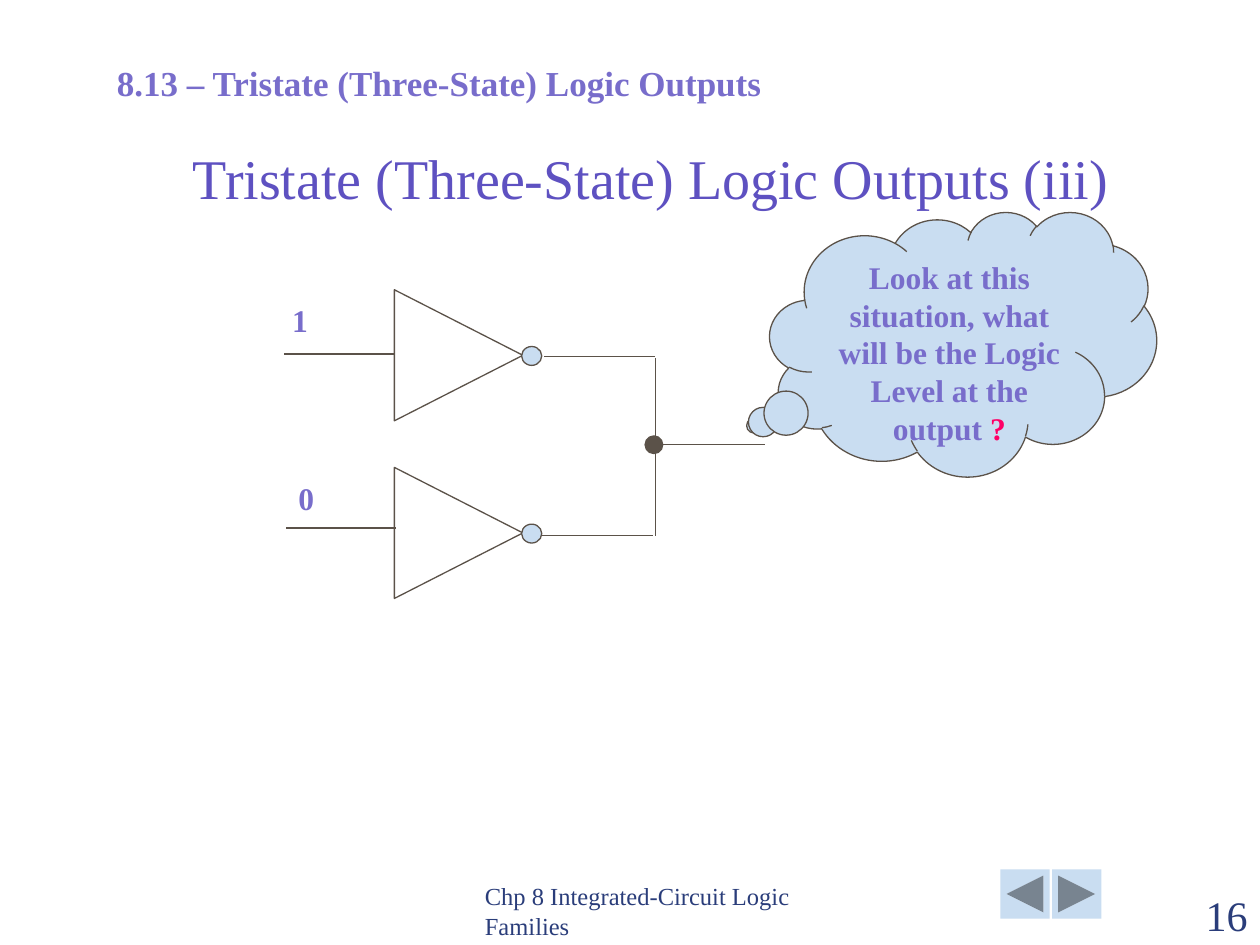
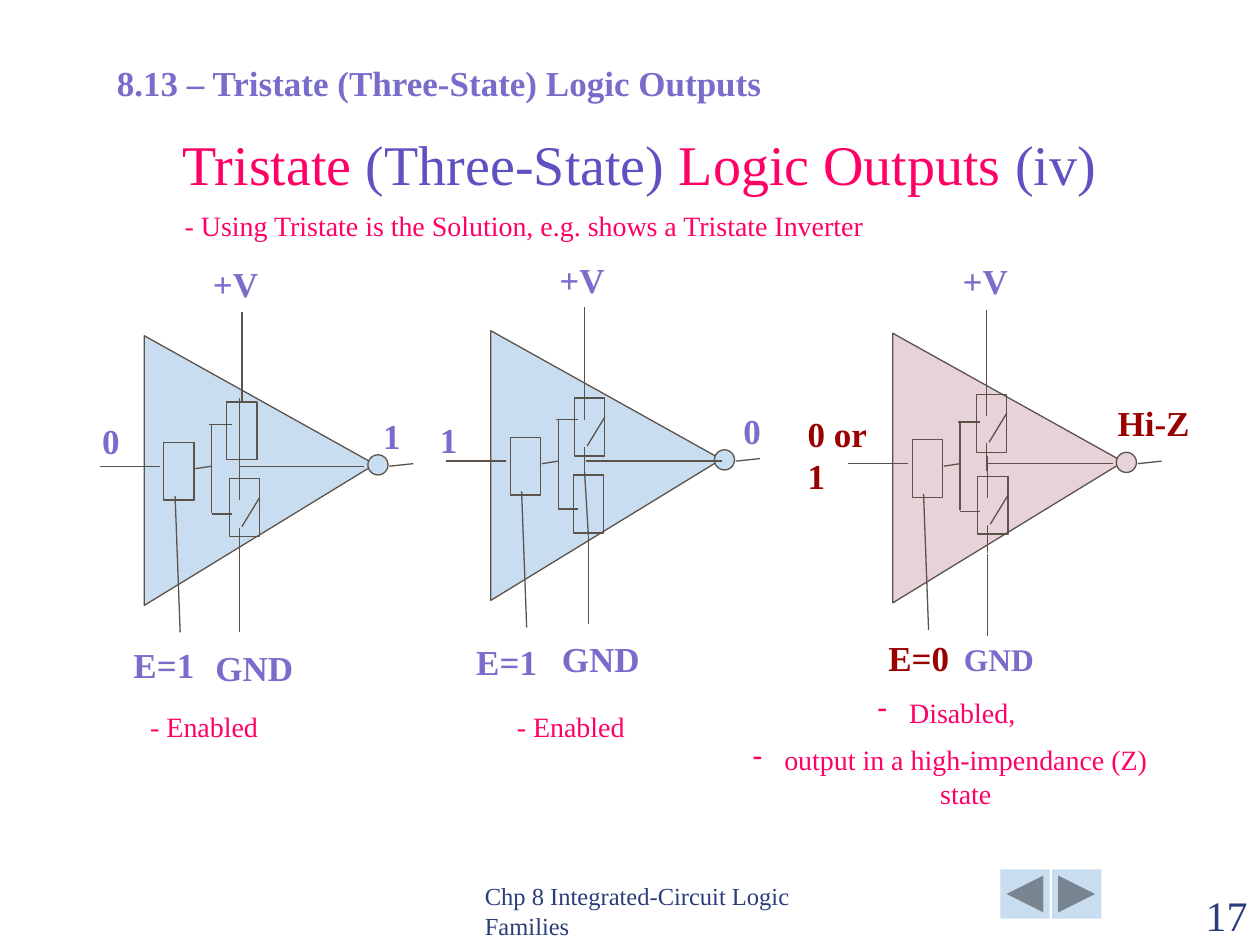
"""Build two slides on tristate logic outputs."""
from lxml import etree
from pptx import Presentation
from pptx.dml.color import RGBColor
from pptx.enum.shapes import MSO_CONNECTOR, MSO_SHAPE
from pptx.enum.text import MSO_ANCHOR, MSO_AUTO_SIZE, PP_ALIGN
from pptx.oxml.ns import qn
from pptx.util import Inches, Pt

LEFT, MID, RIGHT = PP_ALIGN.LEFT, PP_ALIGN.CENTER, PP_ALIGN.RIGHT
TOP, LOW = MSO_ANCHOR.TOP, MSO_ANCHOR.BOTTOM
NOFIT = MSO_AUTO_SIZE.NONE
WIRE = MSO_CONNECTOR.STRAIGHT
BOX, DOT, GATE = MSO_SHAPE.RECTANGLE, MSO_SHAPE.OVAL, MSO_SHAPE.ISOSCELES_TRIANGLE
CLOUD = MSO_SHAPE.CLOUD_CALLOUT
BACK = MSO_SHAPE.ACTION_BUTTON_BACK_OR_PREVIOUS
NEXT = MSO_SHAPE.ACTION_BUTTON_FORWARD_OR_NEXT

COLORS = {
    "sky": "C9DDF1",
    "rose": "E8D2D9",
    "ink": "5B5249",
    "navy": "2A3D7A",
    "title": "5E51C1",
    "label": "786DCB",
    "pink": "FF0066",
    "red": "990000",
}
FONT = "Times New Roman"


def tint(name):
    return RGBColor.from_string(COLORS[name])


class Deck:
    def __init__(self):
        self.prs = Presentation()
        self.prs.slide_width = Inches(10)
        self.prs.slide_height = Inches(7.5)
        self.slide = None

    def start(self, number, at, runs):
        self.slide = self.prs.slides.add_slide(self.prs.slide_layouts[5])
        title = self.slide.shapes.title
        title.left, title.top, title.width, title.height = map(Inches, at)
        self.fill_in(title.text_frame, [runs], 32, anchor=LOW, inset=0)
        for kind, x in ((BACK, 7.94), (NEXT, 8.35)):
            self.shape(kind, (x, 6.9, 0.39, 0.39), "sky", line=None)
        self.text((3.75, 7.01, 3.17, 0.5), "Chp 8 Integrated-Circuit Logic Families",
                  14, "navy", anchor=LOW)
        self.text((9, 7.01, 1, 0.5), number, 24, "navy", align=RIGHT, anchor=LOW)
        self.text((0.83, 0.44, 5.37, 0.43), "8.13 – Tristate (Three-State) Logic Outputs",
                  20, "label", bold=True)

    def fill_in(self, frame, paras, size, bold=False, align=LEFT, anchor=TOP,
                inset=None, bullet=None):
        frame.word_wrap = True
        frame.auto_size = NOFIT
        frame.vertical_anchor = anchor
        if inset is not None:
            frame.margin_left = frame.margin_right = Inches(inset)
            frame.margin_top = frame.margin_bottom = Inches(inset)
        for i, runs in enumerate(paras):
            para = frame.add_paragraph() if i else frame.paragraphs[0]
            para.alignment = align
            para.space_before = Pt(size / 2 if i else 0)
            if bullet:
                props = para._p.get_or_add_pPr()
                props.set("marL", str(Inches(0.25)))
                props.set("indent", str(-Inches(0.25)))
                etree.SubElement(props, qn("a:buChar")).set("char", bullet)
            para.font.name = FONT
            para.font.size = Pt(size)
            para.font.bold = bold
            if len(runs) == 1:
                para.font.color.rgb = tint(runs[0][1])
            for words, color in runs:
                run = para.add_run()
                run.text = words
                if len(runs) > 1:
                    run.font.color.rgb = tint(color)

    def text(self, at, words, size, color, **style):
        lines = [words] if isinstance(words, str) else words
        frame = self.slide.shapes.add_textbox(*map(Inches, at)).text_frame
        self.fill_in(frame, [[(line, color)] for line in lines], size, **style)

    def label(self, at, words, color="label", size=20):
        self.text(at, words, size, color, bold=True, inset=0)

    def shape(self, kind, at, fill=None, line="ink", turn=0, adjust=()):
        shape = self.slide.shapes.add_shape(kind, *map(Inches, at))
        shape.shadow.inherit = False
        shape.rotation = turn
        for i, value in enumerate(adjust):
            shape.adjustments[i] = value
        if fill:
            shape.fill.solid()
            shape.fill.fore_color.rgb = tint(fill)
        else:
            shape.fill.background()
        if line:
            shape.line.color.rgb = tint(line)
            shape.line.width = Pt(0.75)
        else:
            shape.line.fill.background()
        return shape

    def wire(self, x1, y1, x2, y2, dx=0, dy=0):
        ends = map(Inches, (x1 + dx, y1 + dy, x2 + dx, y2 + dy))
        line = self.slide.shapes.add_connector(WIRE, *ends)
        line.line.color.rgb = tint("ink")
        line.line.width = Pt(0.75)
        etree.SubElement(line._element.spPr, qn("a:effectLst"))

    def switch(self, x, y, is_open):
        self.shape(BOX, (x, y, 0.24, 0.46))
        if is_open:
            for ends in ((0.08, -0.07, 0.08, 0.17), (0.24, 0.15, 0.1, 0.38),
                         (0.08, 0.39, 0.08, 0.61)):
                self.wire(*ends, x, y)

    def tristate(self, dx, dy, fill, upper, lower, wires):
        self.shape(GATE, (0.99 + dx, 2.82 + dy, 2.14, 1.83), fill, turn=90, adjust=[0.477])
        self.shape(DOT, (2.92 + dx, 3.61 + dy, 0.16, 0.16), fill)
        self.switch(1.3 + dx, 3.51 + dy, False)
        for x, y, is_open in (upper, lower):
            self.switch(x + dx, y + dy, is_open)
        shared = [
            (1.68, 3.37, 1.68, 4.07), (1.66, 3.37, 1.84, 3.37), (1.68, 4.08, 1.84, 4.08),
            (1.68, 3.7, 1.55, 3.72), (1.27, 3.7, 0.79, 3.7), (3.09, 3.7, 3.28, 3.68),
            (1.39, 3.94, 1.43, 5.02),
        ]
        for ends in shared + wires:
            self.wire(*ends, dx, dy)


def conflict(deck):
    deck.start("16", (1.53, 1.03, 7.53, 0.64),
               [("Tristate (Three-State) Logic Outputs (iii)", "title")])
    for y in (2.31, 3.72):
        deck.shape(GATE, (3.12, y, 1.04, 1.02), turn=90)
        deck.shape(DOT, (4.14, y + 0.44, 0.16, 0.15), "sky")
    for ends in ((3.13, 2.81, 2.25, 2.81), (3.14, 4.19, 2.27, 4.19),
                 (5.2, 2.83, 4.32, 2.83), (5.18, 4.25, 4.3, 4.25),
                 (5.2, 2.84, 5.2, 4.25), (6.07, 3.53, 5.2, 3.53)):
        deck.wire(*ends)
    deck.shape(DOT, (5.12, 3.46, 0.14, 0.14), "ink")
    for x, y, bit in ((2.22, 2.34, "1"), (2.27, 3.75, "0")):
        deck.text((x, y, 0.49, 0.4), bit, 18, "label", bold=True)
    cloud = deck.shape(CLOUD, (6.11, 1.68, 3.07, 2.1), "sky", adjust=(-0.541, 0.309))
    ask = "Look at this situation, what will be the Logic Level at the output "
    deck.fill_in(cloud.text_frame, [[(ask, "label"), ("?", "pink")]], 18, bold=True, align=MID)


def solution(deck):
    deck.start("17", (1.45, 0.92, 7.59, 0.64),
               [("Tristate", "pink"), (" (Three-State) ", "title"),
                ("Logic Outputs", "pink"), (" (iv)", "title")])

    deck.tristate(0, 0, "sky", (1.8, 3.19, False), (1.82, 3.8, True), [
        (1.92, 2.48, 1.92, 3.18), (1.9, 3.16, 1.9, 3.7), (1.9, 3.73, 1.9, 3.64),
        (1.9, 3.7, 2.89, 3.7), (1.9, 4.38, 1.9, 5.02)])
    deck.tristate(2.75, -0.04, "sky", (1.81, 3.2, True), (1.8, 3.81, False), [
        (1.89, 2.48, 1.89, 3.18), (1.9, 3.7, 2.98, 3.7),
        (1.89, 3.79, 1.92, 4.29), (1.92, 4.29, 1.92, 4.99)])
    deck.tristate(5.94, -0.02, "rose", (1.81, 3.15, True), (1.82, 3.8, True), [
        (1.89, 2.48, 1.89, 3.18), (1.9, 3.74, 1.9, 3.64),
        (1.9, 3.7, 2.89, 3.7), (1.9, 4.42, 1.9, 5.07)])

    for x, y in ((1.69, 2.08), (4.44, 2.05), (7.64, 2.06)):
        deck.label((x, y, 0.52, 0.33), "+V")
    for x, y, size in ((1.71, 5.13, 20), (4.46, 5.06, 20), (7.65, 5.08, 18)):
        deck.label((x, y, 0.72, 0.33), "GND", size=size)
    for x, y, bit in ((0.81, 3.33, "0"), (3.04, 3.29, "1"),
                      (3.49, 3.32, "1"), (5.9, 3.25, "0")):
        deck.label((x, y, 0.21, 0.33), bit)
    for x, y, state, color in ((1.06, 5.11, "E=1", "label"), (3.78, 5.08, "E=1", "label"),
                               (7.05, 5.05, "E=0", "red")):
        deck.label((x, y, 0.6, 0.33), state, color)
    deck.label((6.41, 3.27, 0.56, 0.67), "0 or 1", "red")
    deck.label((8.87, 3.19, 0.67, 0.33), "Hi-Z", "red")

    deck.text((1.34, 1.61, 5.64, 0.37),
              "- Using Tristate is the Solution, e.g. shows a Tristate Inverter",
              16, "pink", align=MID)
    for x in (1.09, 4):
        deck.text((x, 5.58, 1.06, 0.37), "- Enabled", 16, "pink", align=MID)
    deck.text((5.72, 5.47, 3.64, 0.77),
              ["Disabled, ", "output in a high-impendance (Z) state"],
              16, "pink", align=MID, bullet="-")


def main():
    deck = Deck()
    conflict(deck)
    solution(deck)
    deck.prs.save("out.pptx")


if __name__ == "__main__":
    main()
